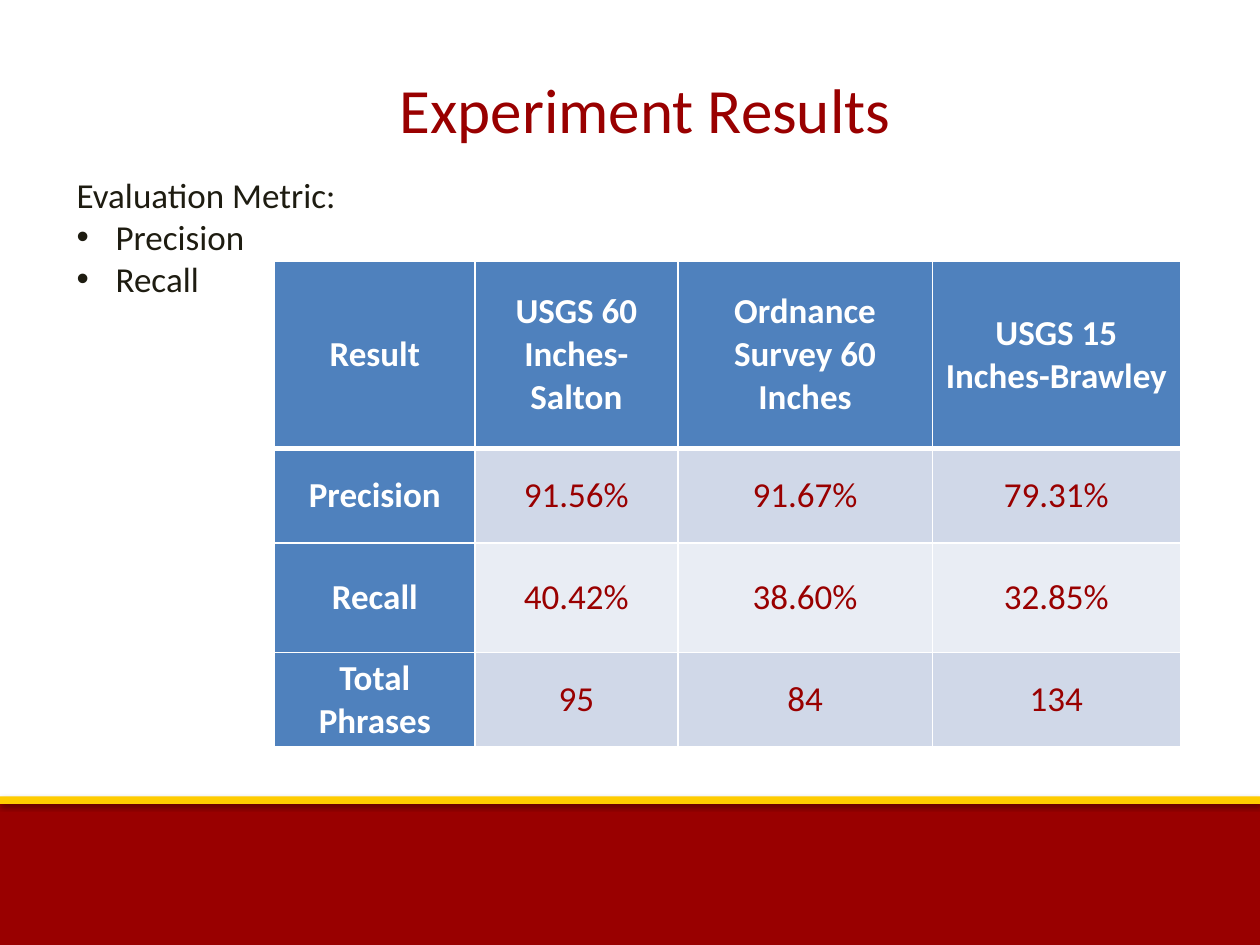
from dataclasses import dataclass

from lxml import etree
from pptx import Presentation
from pptx.dml.color import RGBColor
from pptx.enum import shapes, text
from pptx.oxml import ns
from pptx.util import Inches, Pt

FONT = "Calibri"
COLORS = {
    "red": "990000",
    "gold": "FFCC00",
    "blue": "4F81BD",
    "odd_row": "D0D8E8",
    "even_row": "E9EDF4",
    "white": "FFFFFF",
    "ink": "1E1C11",
    "shadow": "000000",
}


@dataclass
class Band:
    top: float
    height: float
    color: str
    shadow_opacity: int
    shadow_distance: float


BANDS = [
    Band(6.35, 1.15, "red", 35, 1.8),
    Band(6.32, 0.06, "gold", 38, 1.6),
]
RESULTS = [
    ["Result", "USGS 60 Inches-Salton", "Ordnance Survey 60 Inches", "USGS 15 Inches-Brawley"],
    ["Precision", "91.56%", "91.67%", "79.31%"],
    ["Recall", "40.42%", "38.60%", "32.85%"],
    ["Total Phrases", "95", "84", "134"],
]
COLUMN_WIDTHS = [1.59, 1.61, 2.02, 1.97]
ROW_HEIGHTS = [1.49, 0.75, 0.87, 0.75]
METRICS = ["Evaluation Metric:", "Precision", "Recall"]


def rgb(color: str) -> RGBColor:
    return RGBColor.from_string(COLORS[color])


def add_xml(parent, tag: str, **attributes):
    child = etree.SubElement(parent, ns.qn(tag))
    for key, value in attributes.items():
        child.set(key, str(value))
    return child


def style(paragraph, size: float, color: str, bold: bool = False) -> None:
    for run in paragraph.runs:
        run.font.name = FONT
        run.font.size = Pt(size)
        run.font.bold = bold
        run.font.color.rgb = rgb(color)


def draw_band(slide, band: Band) -> None:
    bar = slide.shapes.add_shape(
        shapes.MSO_SHAPE.RECTANGLE, 0, Inches(band.top), Inches(10), Inches(band.height)
    )
    bar.fill.solid()
    bar.fill.fore_color.rgb = rgb(band.color)
    bar.line.fill.background()
    bar.shadow.inherit = False
    effects = bar.element.spPr.find(ns.qn("a:effectLst"))
    shadow = add_xml(effects, "a:outerShdw", blurRad=Pt(3.1), dist=Pt(band.shadow_distance),
                     dir=90 * 60000, rotWithShape=0)
    shadow_color = add_xml(shadow, "a:srgbClr", val=COLORS["shadow"])
    add_xml(shadow_color, "a:alpha", val=band.shadow_opacity * 1000)


def draw_title(slide) -> None:
    title = slide.shapes.add_textbox(Inches(0.62), Inches(0.51), Inches(9), Inches(1.25))
    title.text_frame.word_wrap = True
    title.text_frame.text = "Experiment Results"
    heading = title.text_frame.paragraphs[0]
    heading.alignment = text.PP_ALIGN.CENTER
    style(heading, 36, "red")


def draw_metrics(slide) -> None:
    metrics = slide.shapes.add_textbox(Inches(0.51), Inches(1.33), Inches(4.24), Inches(1.88))
    metrics.text_frame.word_wrap = True
    metrics.text_frame.text = "\n".join(METRICS)
    for index, line in enumerate(metrics.text_frame.paragraphs):
        if index > 0:
            properties = line._p.get_or_add_pPr()
            properties.set("marL", str(Inches(0.31)))
            properties.set("indent", str(-Inches(0.31)))
            add_xml(properties, "a:buFont", typeface="Arial")
            add_xml(properties, "a:buChar", char="•")
        style(line, 20, "ink")


def set_borders(cell, bottom_width: float) -> None:
    """Give the cell white borders; call before its fill, which must follow them in the XML."""
    properties = cell._tc.get_or_add_tcPr()
    for side, width in {"L": 1, "R": 1, "T": 1, "B": bottom_width}.items():
        border = add_xml(properties, f"a:ln{side}", w=Pt(width))
        add_xml(add_xml(border, "a:solidFill"), "a:srgbClr", val=COLORS["white"])


def draw_cell(cell, row: int, column: int) -> None:
    is_heading = row == 0 or column == 0
    if is_heading:
        fill = "blue"
    else:
        fill = "odd_row" if row % 2 else "even_row"
    # The thick rule under the header is shared by the two rows that meet there.
    set_borders(cell, bottom_width=3 if row == 0 else 1)
    if row == 1:
        cell._tc.tcPr.find(ns.qn("a:lnT")).set("w", str(Pt(3)))
    cell.fill.solid()
    cell.fill.fore_color.rgb = rgb(fill)
    cell.vertical_anchor = text.MSO_ANCHOR.MIDDLE
    cell.margin_left = cell.margin_right = Inches(0.07)
    cell.margin_top = cell.margin_bottom = 0
    cell.text_frame.text = RESULTS[row][column]
    label = cell.text_frame.paragraphs[0]
    label.alignment = text.PP_ALIGN.CENTER
    label.space_after = Pt(4)
    style(label, 20, "white" if is_heading else "red", bold=is_heading)


def draw_results(slide) -> None:
    results = slide.shapes.add_table(
        len(ROW_HEIGHTS), len(COLUMN_WIDTHS), Inches(2.18), Inches(2.07),
        Inches(sum(COLUMN_WIDTHS)), Inches(sum(ROW_HEIGHTS)),
    ).table
    for column, width in zip(results.columns, COLUMN_WIDTHS):
        column.width = Inches(width)
    for row, height in enumerate(ROW_HEIGHTS):
        results.rows[row].height = Inches(height)
        for column in range(len(COLUMN_WIDTHS)):
            draw_cell(results.cell(row, column), row, column)


def main() -> None:
    deck = Presentation()
    deck.slide_width, deck.slide_height = Inches(10), Inches(7.5)
    slide = deck.slides.add_slide(deck.slide_layouts[6])
    for band in BANDS:
        draw_band(slide, band)
    draw_title(slide)
    draw_results(slide)
    draw_metrics(slide)
    deck.save("out.pptx")


if __name__ == "__main__":
    main()
